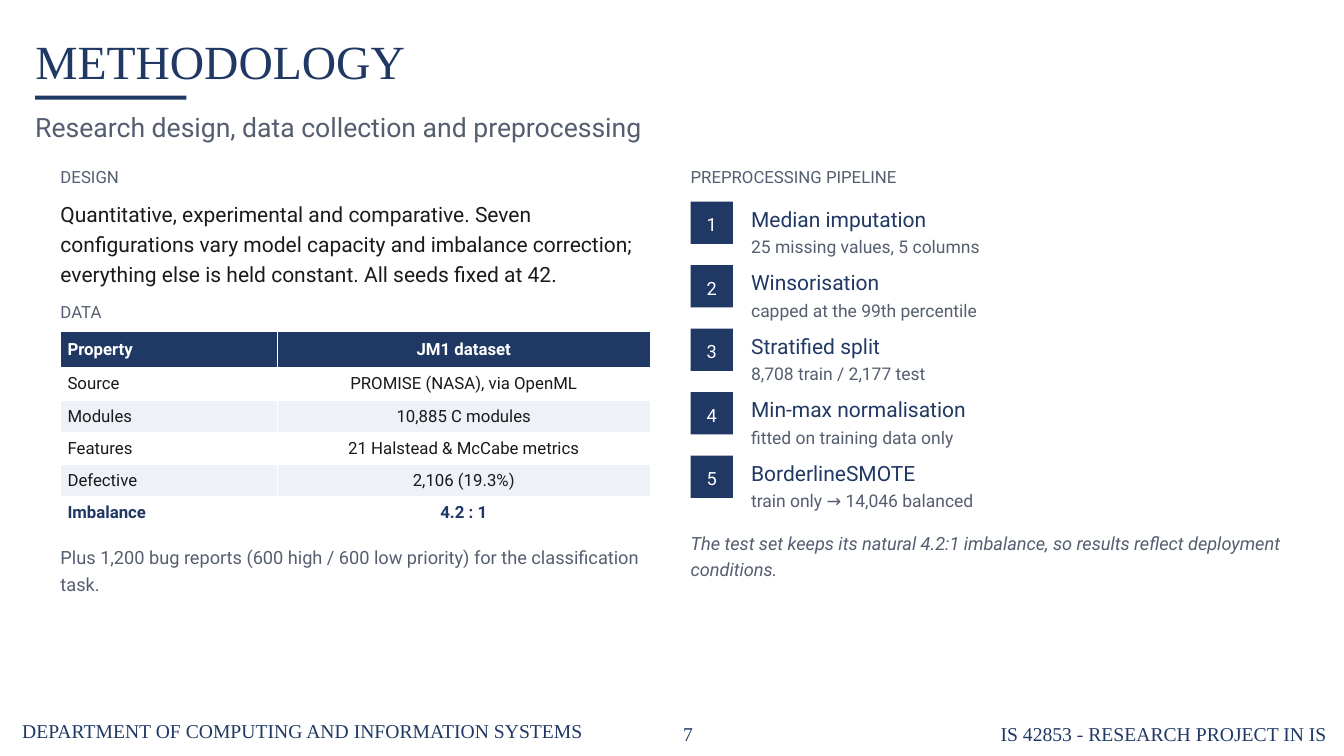
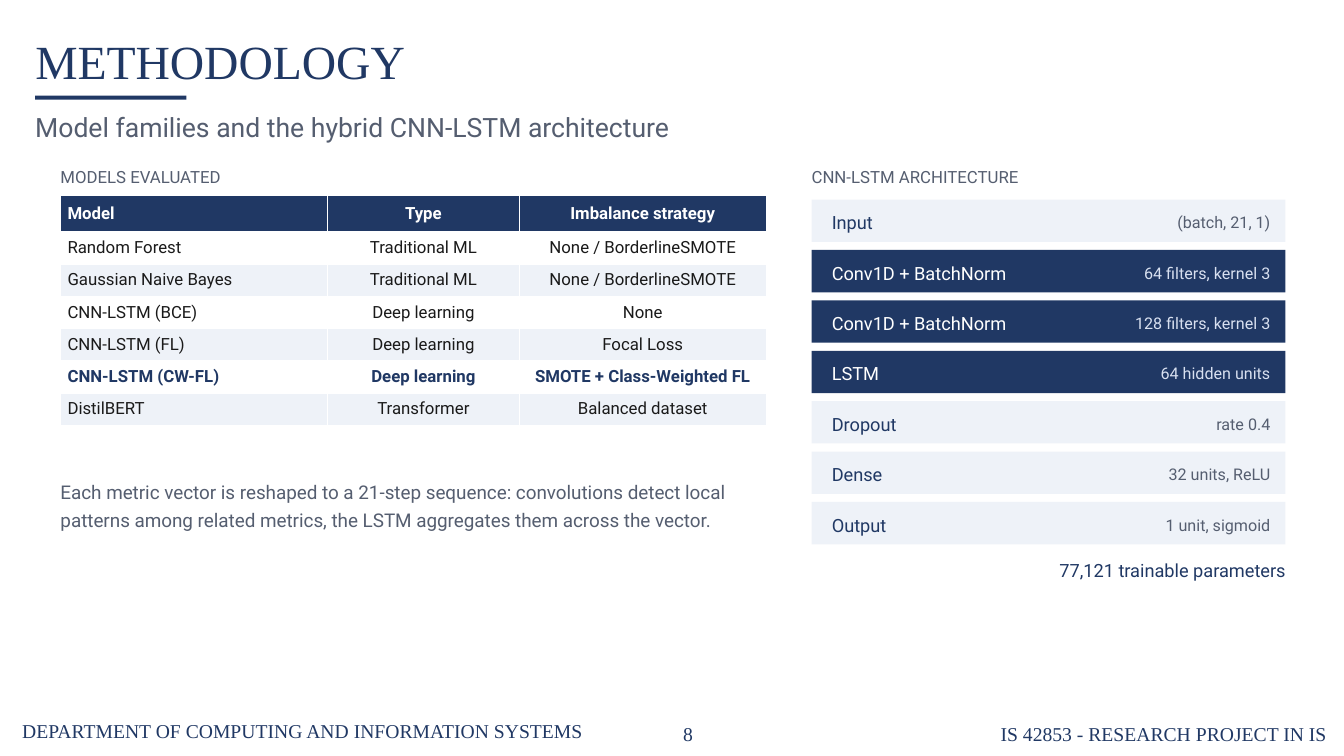
from pptx import Presentation
from pptx.dml.color import RGBColor
from pptx.enum.shapes import MSO_SHAPE
from pptx.enum.text import MSO_ANCHOR, MSO_AUTO_SIZE, PP_ALIGN
from pptx.util import Emu, Pt

PX = 9144  # one px is a hundredth of an inch
COLORS = {
    "navy": "203864", "grey": "555E70", "ink": "1A1A1A",
    "white": "FFFFFF", "pale": "EEF2F8", "mist": "D8E0F0",
}
SERIF, SANS = "Times New Roman", "Roboto"
LEFT, CENTER, RIGHT = PP_ALIGN.LEFT, PP_ALIGN.CENTER, PP_ALIGN.RIGHT
STYLES = {
    "title": {"color": "navy", "name": SERIF, "size": Pt(34)},
    "footer": {"color": "navy", "name": SERIF, "size": Pt(14)},
    "subtitle": {"color": "grey", "size": Pt(19)},
    "label": {"color": "grey", "size": Pt(12)},
    "body": {"color": "ink", "size": Pt(15)},
    "note": {"color": "grey", "size": Pt(13)},
    "italic note": {"color": "grey", "size": Pt(13), "italic": True},
    "large note": {"color": "grey", "size": Pt(13.5)},
    "step number": {"color": "white", "size": Pt(13)},
    "step name": {"color": "navy", "size": Pt(15)},
    "step detail": {"color": "grey", "size": Pt(12.5)},
    "layer": {"color": "navy", "size": Pt(13)},
    "dark layer": {"color": "white", "size": Pt(13)},
    "layer detail": {"color": "grey", "size": Pt(11.5)},
    "dark layer detail": {"color": "mist", "size": Pt(11.5)},
    "table head": {"color": "white", "size": Pt(12), "bold": True},
    "table cell": {"color": "ink", "size": Pt(12), "bold": False},
    "table key": {"color": "navy", "size": Pt(12), "bold": True},
}


def write(frame, lines, align=LEFT, spacing=1.15):
    """Fill a text frame with (text, style name, paragraph formats) lines."""
    for index, (text, style, *formats) in enumerate(lines):
        paragraph = frame.add_paragraph() if index else frame.paragraphs[0]
        paragraph.text = text
        paragraph.alignment = align
        paragraph.line_spacing = spacing
        for name, value in (formats[0] if formats else {}).items():
            setattr(paragraph, name, value)
        font = paragraph.font
        font.name = SANS
        for name, value in STYLES[style].items():
            if name == "color":
                font.color.rgb = RGBColor.from_string(COLORS[value])
            else:
                setattr(font, name, value)


def add_block(slide, box, lines=(), fill=None, shape=None, inset=0, **layout):
    """Add a text box, or a rectangle if filled; a given shape is moved."""
    place = [Emu(length * PX) for length in box]
    if fill:
        shape = slide.shapes.add_shape(MSO_SHAPE.RECTANGLE, *place)
        shape.shadow.inherit = False
        shape.fill.solid()
        shape.fill.fore_color.rgb = RGBColor.from_string(COLORS[fill])
        shape.line.fill.background()
    elif shape:
        shape.left, shape.top, shape.width, shape.height = place
    else:
        shape = slide.shapes.add_textbox(*place)
    is_box = not (fill or shape.is_placeholder)
    frame_formats = {
        "margin_left": Emu(inset * PX), "margin_top": 0,
        "margin_right": 0, "margin_bottom": 0, "word_wrap": True,
        "vertical_anchor": MSO_ANCHOR.TOP if is_box else MSO_ANCHOR.MIDDLE,
        "auto_size": MSO_AUTO_SIZE.NONE if fill else MSO_AUTO_SIZE.SHAPE_TO_FIT_TEXT,
    }
    for name, value in frame_formats.items():
        setattr(shape.text_frame, name, value)
    write(shape.text_frame, lines, **layout)


PAGES = [
    {
        "number": "7",
        "subtitle": "Research design, data collection and preprocessing",
        "labels": [("DATA", 60, 296, 585), ("PREPROCESSING PIPELINE", 685, 162, 590)],
        "table top": 329,
        "columns": [215, 370],
        "key row": 5,
        "rows": [
            ("Property", "JM1 dataset"),
            ("Source", "PROMISE (NASA), via OpenML"),
            ("Modules", "10,885 C modules"),
            ("Features", "21 Halstead & McCabe metrics"),
            ("Defective", "2,106 (19.3%)"),
            ("Imbalance", "4.2 : 1"),
        ],
    },
    {
        "number": "8",
        "subtitle": "Model families and the hybrid CNN-LSTM architecture",
        "labels": [("MODELS EVALUATED", 60, 162, 700), ("CNN-LSTM ARCHITECTURE", 805, 162, 470)],
        "table top": 194,
        "columns": [265, 190, 245],
        "key row": 5,
        "rows": [
            ("Model", "Type", "Imbalance strategy"),
            ("Random Forest", "Traditional ML", "None / BorderlineSMOTE"),
            ("Gaussian Naive Bayes", "Traditional ML", "None / BorderlineSMOTE"),
            ("CNN-LSTM (BCE)", "Deep learning", "None"),
            ("CNN-LSTM (FL)", "Deep learning", "Focal Loss"),
            ("CNN-LSTM (CW-FL)", "Deep learning", "SMOTE + Class-Weighted FL"),
            ("DistilBERT", "Transformer", "Balanced dataset"),
        ],
    },
]
STEPS = [
    ("Median imputation", "25 missing values, 5 columns"),
    ("Winsorisation", "capped at the 99th percentile"),
    ("Stratified split", "8,708 train / 2,177 test"),
    ("Min-max normalisation", "fitted on training data only"),
    ("BorderlineSMOTE", "train only → 14,046 balanced"),
]
LAYERS = [
    ("Input", "(batch, 21, 1)", False),
    ("Conv1D + BatchNorm", "64 filters, kernel 3", True),
    ("Conv1D + BatchNorm", "128 filters, kernel 3", True),
    ("LSTM", "64 hidden units", True),
    ("Dropout", "rate 0.4", False),
    ("Dense", "32 units, ReLU", False),
    ("Output", "1 unit, sigmoid", False),
]
HEAD_HEIGHT, ROW_HEIGHT = 36, 32
CELL_FORMATS = {
    "margin_left": Emu(7 * PX), "margin_right": Emu(7 * PX),
    "margin_top": Emu(2 * PX), "margin_bottom": Emu(2 * PX),
    "vertical_anchor": MSO_ANCHOR.MIDDLE,
}

presentation = Presentation()
presentation.slide_width = Emu(1333 * PX)
presentation.slide_height = Emu(750 * PX)
title_only = presentation.slide_layouts[5]

# Title, footer, labels and table of each slide
slides = []
for page in PAGES:
    slide = presentation.slides.add_slide(title_only)
    slides.append(slide)
    add_block(slide, (35, 20, 1030, 72), [("METHODOLOGY", "title")], shape=slide.shapes.title)
    add_block(slide, (35, 95, 150, 4), fill="navy")
    add_block(slide, (35, 105, 1240, 44), [(page["subtitle"], "subtitle")])
    for text, box, align in [
        ("DEPARTMENT OF COMPUTING AND INFORMATION SYSTEMS", (22, 710, 602, 32), LEFT),
        (page["number"], (639, 713, 87, 28), CENTER),
        ("IS 42853 - RESEARCH PROJECT IN IS", (972, 713, 344, 28), RIGHT),
    ]:
        add_block(slide, box, [(text, "footer")], align=align)
    for text, left, top, width in page["labels"]:
        add_block(slide, (left, top, width, 30), [(text, "label")])

    rows, columns = page["rows"], page["columns"]
    height = HEAD_HEIGHT + ROW_HEIGHT * (len(rows) - 1)
    place = [Emu(length * PX) for length in (60, page["table top"], sum(columns), height)]
    table = slide.shapes.add_table(len(rows), len(columns), *place).table
    for column, width in zip(table.columns, columns):
        column.width = Emu(width * PX)
    for r, values in enumerate(rows):
        table.rows[r].height = Emu((ROW_HEIGHT if r else HEAD_HEIGHT) * PX)
        fill, style = ("pale" if r % 2 == 0 else "white"), "table cell"
        if r == 0:
            fill, style = "navy", "table head"
        elif r == page["key row"]:
            style = "table key"
        for c, text in enumerate(values):
            cell = table.cell(r, c)
            for name, value in CELL_FORMATS.items():
                setattr(cell, name, value)
            cell.fill.solid()
            cell.fill.fore_color.rgb = RGBColor.from_string(COLORS[fill])
            write(cell.text_frame, [(text, style)], align=CENTER if c else LEFT, spacing=1.0)

design_slide, model_slide = slides

# Design and preprocessing pipeline
add_block(design_slide, (60, 162, 585, 105), [
    ("DESIGN", "label", {"space_after": Pt(7)}),
    ("Quantitative, experimental and comparative. Seven configurations vary model capacity "
     "and imbalance correction; everything else is held constant. All seeds fixed at 42.",
     "body", {"line_spacing": 1.2}),
])
add_block(design_slide, (60, 538, 585, 50), [
    ("Plus 1,200 bug reports (600 high / 600 low priority) for the classification task.", "note"),
], spacing=1.2)
for index, (name, detail) in enumerate(STEPS):
    top = 200 + 63 * index
    add_block(design_slide, (685, top, 42, 42), [(str(index + 1), "step number")],
              fill="navy", align=CENTER)
    add_block(design_slide, (745, top + 1, 530, 42), [
        (name, "step name", {"space_after": Pt(1)}),
        (detail, "step detail"),
    ])
add_block(design_slide, (685, 524, 590, 50), [
    ("The test set keeps its natural 4.2:1 imbalance, so results reflect deployment conditions.",
     "italic note"),
], spacing=1.2)

# Models and network architecture
add_block(model_slide, (60, 472, 700, 90), [
    ("Each metric vector is reshaped to a 21-step sequence: convolutions detect local patterns "
     "among related metrics, the LSTM aggregates them across the vector.", "large note"),
], spacing=1.22)
for index, (name, detail, is_dark) in enumerate(LAYERS):
    top = 198 + 50 * index
    style = "dark layer" if is_dark else "layer"
    add_block(model_slide, (805, top, 470, 42), [(name, style)],
              fill="navy" if is_dark else "pale", inset=20)
    add_block(model_slide, (1085, top + 10, 175, 26), [(detail, style + " detail")], align=RIGHT)
add_block(model_slide, (805, 552, 470, 30), [("77,121 trainable parameters", "layer")], align=RIGHT)

presentation.save("out.pptx")
